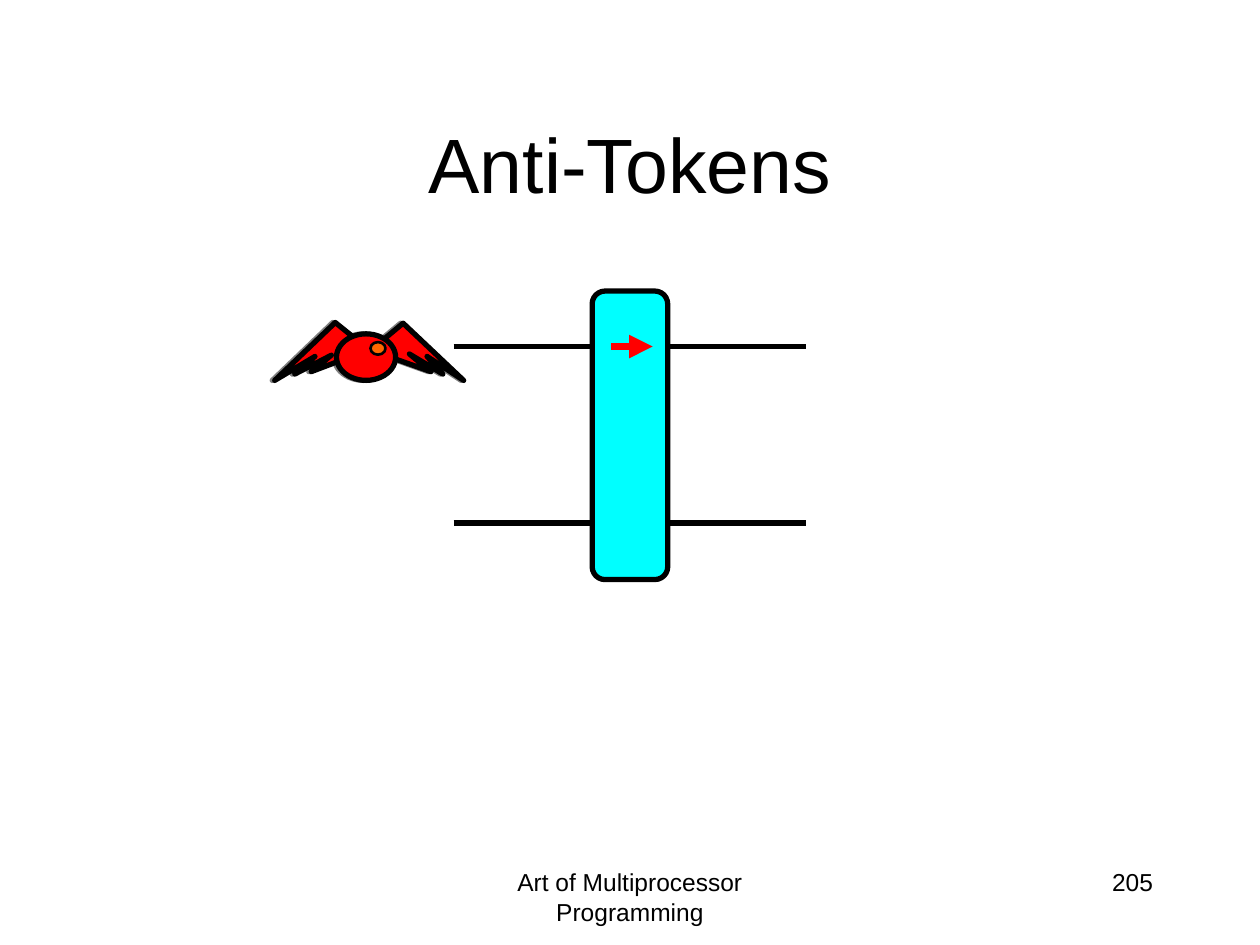
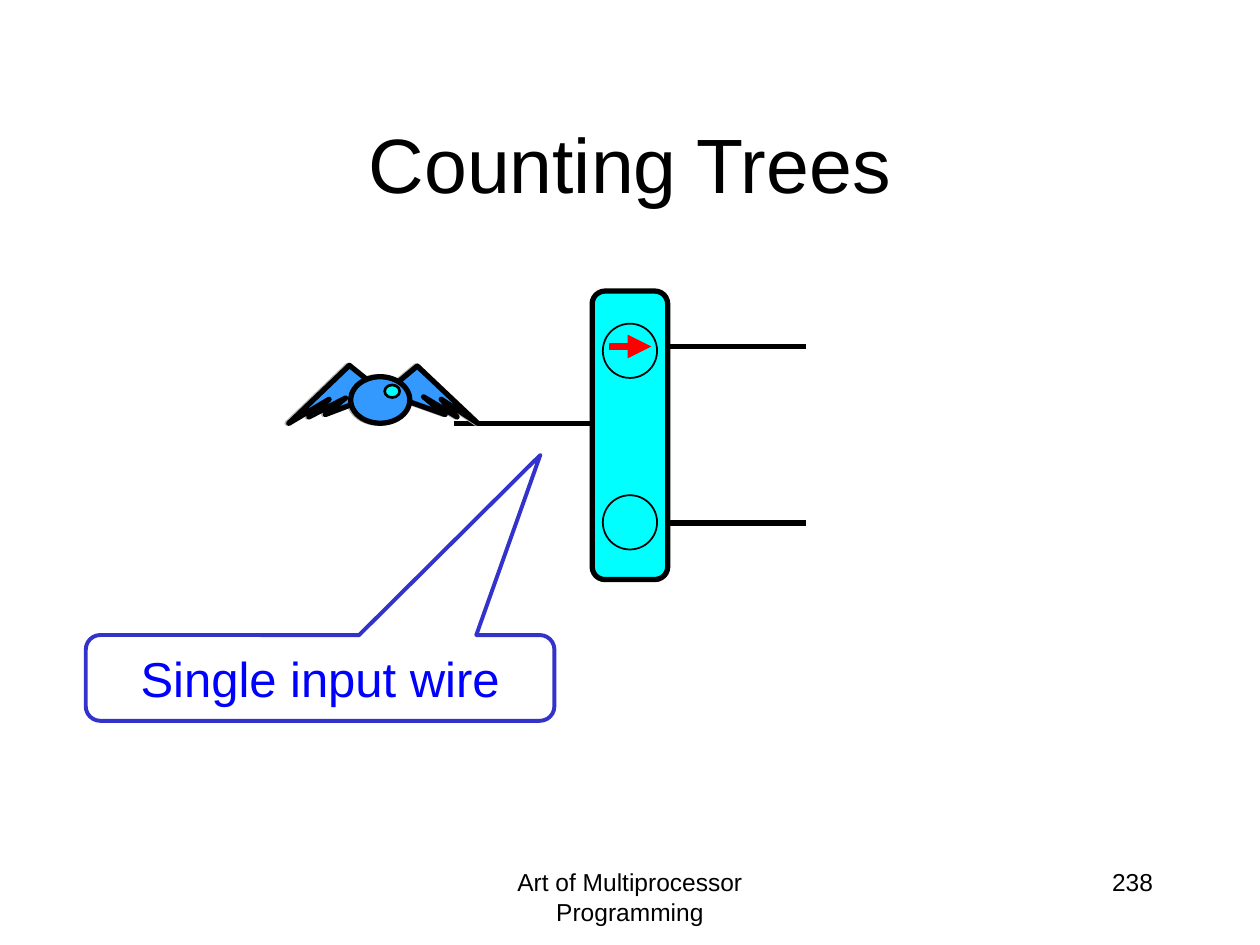
from lxml import etree
from pptx import Presentation
from pptx.dml.color import RGBColor
from pptx.enum import shapes, text
from pptx.oxml.ns import qn
from pptx.util import Pt

BLACK = RGBColor(0, 0, 0)
CYAN = RGBColor(0, 255, 255)
RED = RGBColor(255, 0, 0)
ORANGE = RGBColor(255, 102, 0)
SKY = RGBColor(51, 153, 255)
BLUE = RGBColor(0, 0, 255)
INDIGO = RGBColor(51, 51, 204)
GRAY = RGBColor(128, 128, 128)
SILVER = RGBColor(178, 178, 178)

FONT = "Arial"
FOOTER = "Art of Multiprocessor Programming"
LEFT, MID, RIGHT = 259.2, 360, 460.8
HIGH, LOW = 198, 298.8
BOX = (338.4, 166.3, 43.2, 164.9)

# Token parts, measured from the token's top left corner
WINGS = [
    [(58.3, 13), (73.4, 0.4), (108, 33.1), (87.1, 19.4), (96.1, 29.5),
     (77, 18), (89.3, 28.1), (54.7, 15.8)],
    [(49.7, 12.2), (34.6, 0), (0, 33.1), (23, 19.4), (11.5, 29.5),
     (32.4, 18.7), (20.9, 28.1), (53.3, 15.8)],
]
BODY = (35.3, 6.5, 33.8, 26.6)
EYE = (54.7, 11.2, 8.6, 7.2)

SLIDES = [
    dict(title="Anti-Tokens", page="205",
         wires=[(LEFT, RIGHT, HIGH), (LEFT, RIGHT, LOW)],
         shade=(155.6, 184.3, GRAY), token=(157, 184.3, RED, ORANGE),
         arrow=(349.2, 373), rings=[], note=None),
    dict(title="Counting Trees", page="238",
         wires=[(LEFT, MID, 241.9), (MID, RIGHT, HIGH), (MID, RIGHT, LOW)],
         shade=(164.1, 208.8, SILVER), token=(165.1, 208.8, SKY, CYAN),
         arrow=(347.8, 372.2), rings=[185, 283], note="Single input wire"),
]


def write(frame, words, size, color, align):
    frame.text = words
    para = frame.paragraphs[0]
    para.alignment = align
    font = para.runs[0].font
    font.name, font.size, font.color.rgb = FONT, Pt(size), color


def label(slide, box, words, size, align, anchor):
    frame = slide.shapes.add_textbox(*map(Pt, box)).text_frame
    frame.word_wrap = True
    frame.vertical_anchor = anchor
    write(frame, words, size, BLACK, align)


def paint(shape, fill, line, width):
    shape.shadow.inherit = False
    if fill is None:
        shape.fill.background()
    else:
        shape.fill.solid()
        shape.fill.fore_color.rgb = fill
    shape.line.color.rgb = line
    shape.line.width = Pt(width)
    etree.SubElement(shape.line._get_or_add_ln(), qn("a:round"))
    return shape


def add(parts, kind, box, fill, line, width):
    return paint(parts.add_shape(kind, *map(Pt, box)), fill, line, width)


def wire(slide, x1, x2, y, color=BLACK, width=3, head=False):
    line = slide.shapes.add_connector(
        shapes.MSO_CONNECTOR.STRAIGHT, Pt(x1), Pt(y), Pt(x2), Pt(y))
    line.line.color.rgb = color
    line.line.width = Pt(width)
    if head:
        etree.SubElement(line.line._get_or_add_ln(), qn("a:tailEnd"),
                         type="triangle")
    etree.SubElement(line._element.spPr, qn("a:effectLst"))


def token(slide, x, y, fill, eye, line):
    """Draw a winged ball as one group."""
    parts = slide.shapes.add_group_shape().shapes
    for wing in WINGS:
        first, *rest = [(Pt(x + dx), Pt(y + dy)) for dx, dy in wing]
        path = parts.build_freeform(*first)
        path.add_line_segments(rest, close=True)
        paint(path.convert_to_shape(), fill, line, 3)
    for (dx, dy, w, h), tint, width in ((BODY, fill, 3), (EYE, eye, 1.5)):
        add(parts, shapes.MSO_SHAPE.OVAL, (x + dx, y + dy, w, h),
            tint, line, width)


def callout(slide, words):
    note = add(slide.shapes, shapes.MSO_SHAPE.ROUNDED_RECTANGULAR_CALLOUT,
               (49, 362.9, 267.8, 49), None, INDIGO, 2.25)
    for i, value in enumerate((0.47, -2.6, 0.17)):
        note.adjustments[i] = value
    frame = note.text_frame
    frame.word_wrap = False
    frame.vertical_anchor = text.MSO_ANCHOR.MIDDLE
    write(frame, words, 28, BLUE, text.PP_ALIGN.CENTER)


def draw(slide, data):
    align, anchor = text.PP_ALIGN, text.MSO_ANCHOR
    for ends in data["wires"]:
        wire(slide, *ends)
    label(slide, (246, 492, 228, 36), FOOTER, 14, align.CENTER, anchor.TOP)
    label(slide, (516, 492, 150, 36), data["page"], 14, align.RIGHT,
          anchor.TOP)
    x, y, shade = data["shade"]
    token(slide, x, y, shade, shade, shade)
    label(slide, (54, 48, 612, 90), data["title"], 44, align.CENTER,
          anchor.MIDDLE)
    box = add(slide.shapes, shapes.MSO_SHAPE.ROUNDED_RECTANGLE, BOX,
              CYAN, BLACK, 3)
    box.adjustments[0] = 0.17
    wire(slide, *data["arrow"], HIGH, RED, 4.5, head=True)
    for top in data["rings"]:
        add(slide.shapes, shapes.MSO_SHAPE.OVAL, (344.5, top, 31, 31),
            None, BLACK, 1)
    token(slide, *data["token"], BLACK)
    if data["note"]:
        callout(slide, data["note"])


def main():
    deck = Presentation()
    deck.slide_width, deck.slide_height = Pt(720), Pt(540)
    for data in SLIDES:
        draw(deck.slides.add_slide(deck.slide_layouts[6]), data)
    deck.save("out.pptx")


if __name__ == "__main__":
    main()
